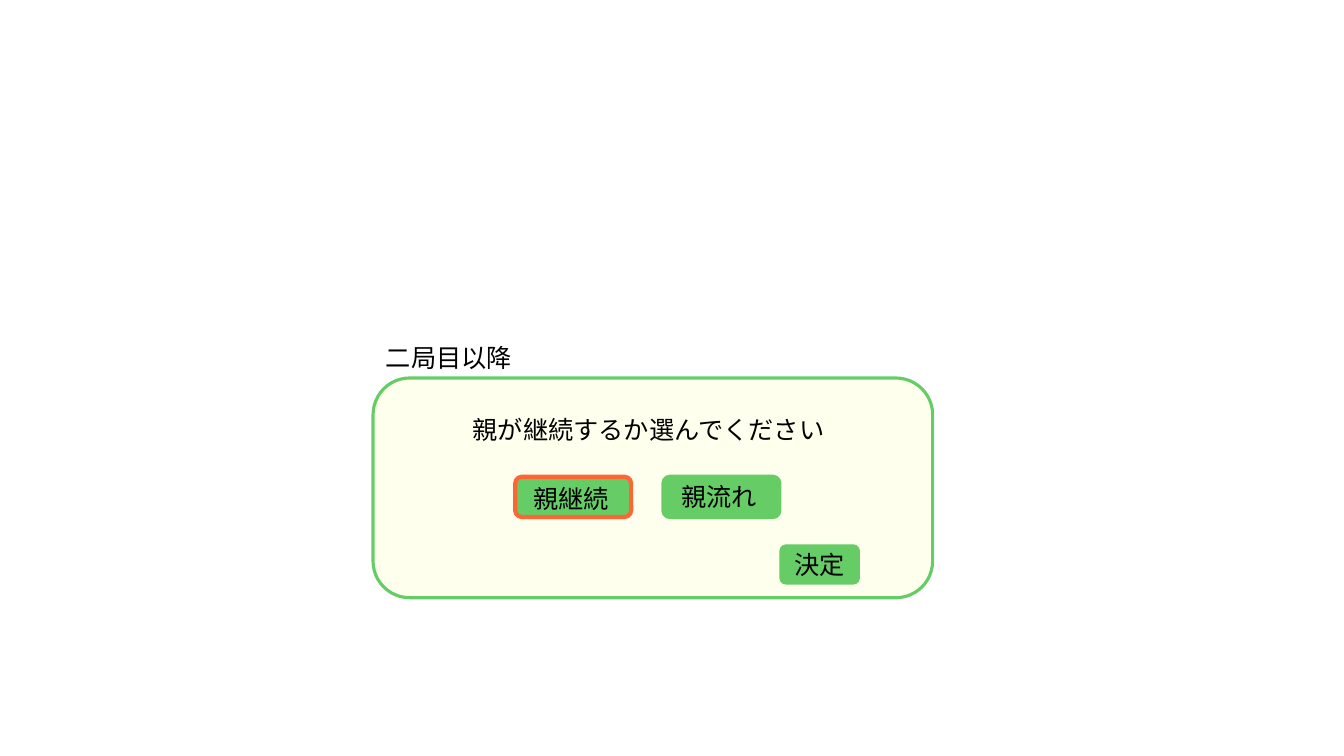
from dataclasses import dataclass

from lxml import etree
from pptx import Presentation
from pptx import util as u
from pptx.dml.color import RGBColor
from pptx.enum import shapes, text
from pptx.oxml import ns

PX = 9144
FONT = "Noto Sans CJK JP"
GREEN, ORANGE, CREAM, BLACK = "66CC66", "FF6633", "FFFFEE", "000000"


@dataclass
class Box:
    """A rounded box, measured in px."""
    x: int
    y: int
    w: int
    h: int
    fill: str
    line: str = ""
    weight: float = 0


@dataclass
class Label:
    """A line of text in a box, measured in px."""
    x: int
    y: int
    w: int
    words: str
    wrap: bool = True


PANEL = Box(370, 375, 555, 218, CREAM, GREEN, 2.25)
CHOICES = [
    (Box(511, 473, 115, 40, GREEN, ORANGE, 3), Label(519, 475, 99, "親継続")),
    (Box(658, 473, 115, 40, GREEN, GREEN, 3), Label(666, 473, 99, "親流れ")),
]
PROMPT = Label(459, 406, 382, "親が継続するか選んでください")
DECIDE = Box(773, 540, 80, 40, GREEN)
CAPTION = Label(373, 335, 146, "二局目以降", wrap=False)


def px(*lengths: int) -> list[u.Emu]:
    """Turn px into EMU."""
    return [u.Emu(n * PX) for n in lengths]


def rgb(colour: str) -> RGBColor:
    """Turn a hex string into a colour."""
    return RGBColor.from_string(colour)


def write(tf, words: str) -> None:
    """Put one formatted paragraph in a text frame."""
    p = tf.paragraphs[0]
    r = p.add_run()
    r.text = words
    p.font.size = u.Pt(18)
    p.font.name = FONT
    p.font.color.rgb = rgb(BLACK)
    ea = etree.SubElement(r.font._element, ns.qn("a:ea"))
    ea.set("typeface", FONT)


def draw_box(parent, box: Box):
    """Draw a rounded box and return it."""
    sp = parent.add_shape(shapes.MSO_SHAPE.ROUNDED_RECTANGLE,
                          *px(box.x, box.y, box.w, box.h))
    sp.shadow.inherit = False
    sp.fill.solid()
    sp.fill.fore_color.rgb = rgb(box.fill)
    if box.line:
        sp.line.color.rgb = rgb(box.line)
        sp.line.width = u.Pt(box.weight)
    else:
        sp.line.fill.background()
    return sp


def draw_label(parent, label: Label) -> None:
    """Draw a text box that fits its text."""
    tf = parent.add_textbox(*px(label.x, label.y, label.w, 40)).text_frame
    tf.word_wrap = label.wrap
    tf.auto_size = text.MSO_AUTO_SIZE.SHAPE_TO_FIT_TEXT
    write(tf, label.words)


def main() -> None:
    """Build the dialog slide and save it."""
    prs = Presentation()
    prs.slide_width, prs.slide_height = px(1333, 750)
    s = prs.slides.add_slide(prs.slide_layouts[6])
    draw_box(s.shapes, PANEL)
    for box, label in CHOICES:
        group = s.shapes.add_group_shape().shapes
        draw_box(group, box)
        draw_label(group, label)
    draw_label(s.shapes, PROMPT)
    tf = draw_box(s.shapes, DECIDE).text_frame
    tf.vertical_anchor = text.MSO_ANCHOR.MIDDLE
    tf.paragraphs[0].alignment = text.PP_ALIGN.CENTER
    write(tf, "決定")
    draw_label(s.shapes, CAPTION)
    prs.save("out.pptx")


if __name__ == "__main__":
    main()
